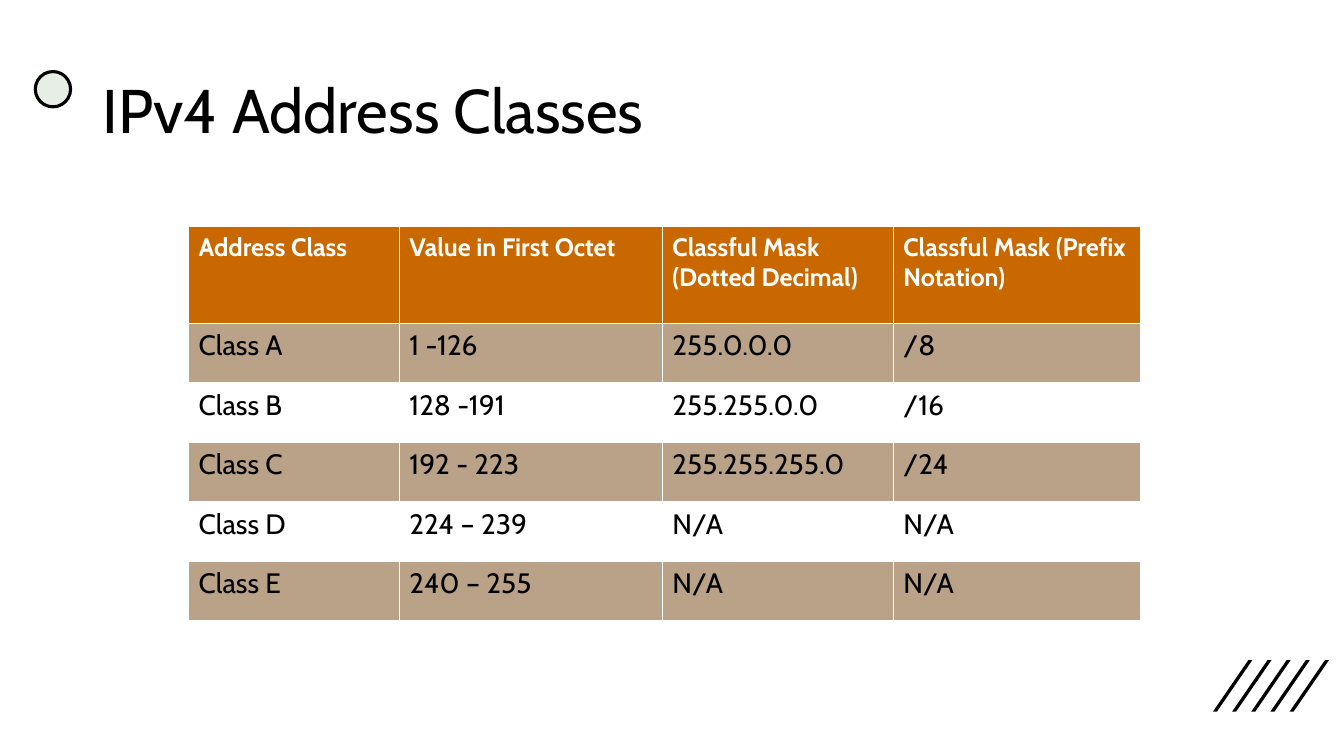
from lxml import etree
from pptx import Presentation, util as u
from pptx.dml.color import RGBColor
from pptx.enum import shapes, text
from pptx.oxml import ns

# Content
TITLE = "IPv4 Address Classes"
HEADINGS = ["Address Class", "Value in First Octet",
            "Classful Mask (Dotted Decimal)", "Classful Mask (Prefix Notation)"]
CLASSES = [
    ("Class A", "1 -126", "255.0.0.0", "/8"),
    ("Class B", "128 -191", "255.255.0.0", "/16"),
    ("Class C", "192 - 223", "255.255.255.0", "/24"),
    ("Class D", "224 – 239", "N/A", "N/A"),
    ("Class E", "240 – 255", "N/A", "N/A"),
]

# Look
FONT = "Cabin"
BLACK, WHITE, ORANGE, TAN, MINT = "000000", "FFFFFF", "CA6800", "B9A288", "E7EEE5"
NO_STYLE = "{2D5ABB26-0587-4C30-8999-92F81FD0307C}"

# Layout in inches
COLUMN_WIDTHS = [2.09, 2.61, 2.29, 2.45]
ROW_HEIGHTS = [0.96] + [0.59] * len(CLASSES)
TABLE_LEFT, TABLE_TOP = 1.87, 2.25
STRIPE_COUNT, STRIPE_STEP = 5, 0.19
STRIPE_LEFT, STRIPE_TOP, STRIPE_BOTTOM = 12.03, 6.55, 7.06
STRIPE_WIDTH, STRIPE_SLANT = 0.04, 0.35


def color(hex_code):
    return RGBColor.from_string(hex_code)


def paint(fill, hex_code):
    if hex_code is None:
        fill.background()
    else:
        fill.solid()
        fill.fore_color.rgb = color(hex_code)


def style(paragraph, size, hex_code, bold=False):
    for run in paragraph.runs:
        run.font.name, run.font.size, run.font.bold = FONT, u.Pt(size), bold
        run.font.color.rgb = color(hex_code)


def border(cell, side, points):
    edge = etree.SubElement(cell._tc.get_or_add_tcPr(), ns.qn(f"a:ln{side}"),
                            w=str(u.Pt(points)))
    fill = etree.SubElement(edge, ns.qn("a:solidFill"))
    etree.SubElement(fill, ns.qn("a:srgbClr"), val=WHITE)


deck = Presentation()
deck.slide_width, deck.slide_height = u.Inches(13.33), u.Inches(7.5)
slide = deck.slides.add_slide(deck.slide_layouts[6])

# Slanted stripes in the corner
for i in range(STRIPE_COUNT):
    left = STRIPE_LEFT + i * STRIPE_STEP
    top_left = left + STRIPE_SLANT
    start, *corners = [(u.Inches(x), u.Inches(y)) for x, y in (
        (left + STRIPE_WIDTH, STRIPE_BOTTOM), (left, STRIPE_BOTTOM),
        (top_left, STRIPE_TOP), (top_left + STRIPE_WIDTH, STRIPE_TOP))]
    outline = slide.shapes.build_freeform(*start)
    outline.add_line_segments(corners)
    stripe = outline.convert_to_shape()
    stripe.shadow.inherit = False
    paint(stripe.fill, BLACK)
    stripe.line.fill.background()

# Circle beside the title
circle = slide.shapes.add_shape(shapes.MSO_SHAPE.OVAL, *map(u.Inches, (0.35, 0.71, 0.35, 0.35)))
circle.shadow.inherit = False
paint(circle.fill, MINT)
circle.line.color.rgb = color(BLACK)
circle.line.width = u.Pt(2.25)

# Table of address classes
records = [HEADINGS, *CLASSES]
frame = slide.shapes.add_table(
    len(records), len(HEADINGS), u.Inches(TABLE_LEFT), u.Inches(TABLE_TOP),
    u.Inches(sum(COLUMN_WIDTHS)), u.Inches(sum(ROW_HEIGHTS)))
table = frame.table
table.horz_banding = False
table._tbl.tblPr.find(ns.qn("a:tableStyleId")).text = NO_STYLE
for column, width in zip(table.columns, COLUMN_WIDTHS):
    column.width = u.Inches(width)
for r, (record, height) in enumerate(zip(records, ROW_HEIGHTS)):
    table.rows[r].height = u.Inches(height)
    heading = r == 0
    background = ORANGE if heading else TAN if r % 2 else None
    for c, value in enumerate(record):
        cell = table.cell(r, c)
        cell.text_frame.text = value
        style(cell.text_frame.paragraphs[0], 18 if heading else 20,
              WHITE if heading else BLACK, heading)
        for side in "LRTB":
            border(cell, side, 1)
        paint(cell.fill, background)

# Title
title = slide.shapes.add_textbox(*map(u.Inches, (0.92, 0.4, 11.5, 1.45))).text_frame
title.word_wrap = True
title.vertical_anchor = text.MSO_ANCHOR.MIDDLE
title.text = TITLE
title.paragraphs[0].line_spacing = 0.9
style(title.paragraphs[0], 44, BLACK)

deck.save("out.pptx")
